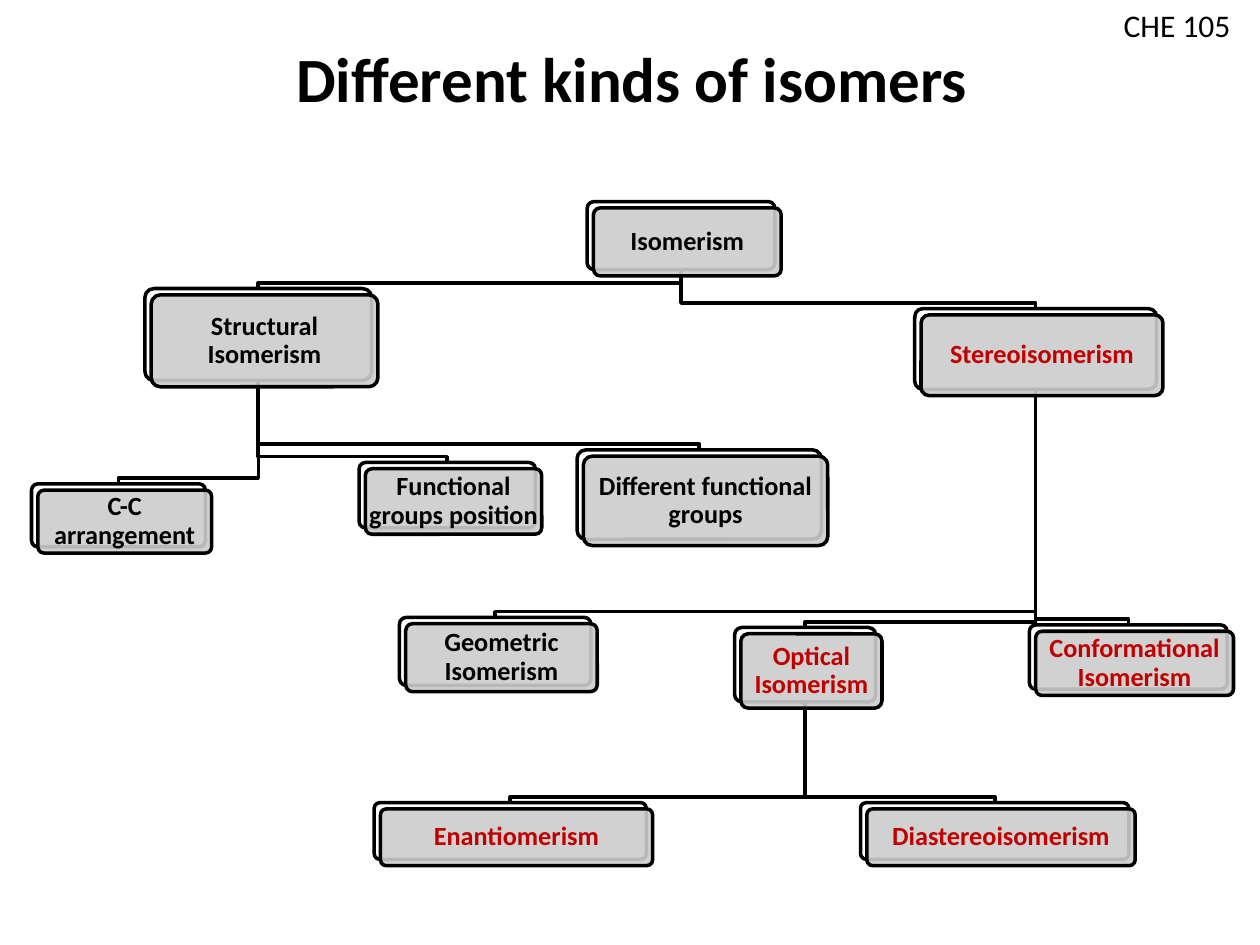
import pptx
import pptx.util
import pptx.dml.color
import pptx.enum.shapes
import pptx.enum.text
import pptx.oxml
import pptx.oxml.ns

BLACK, RED, WHITE, GREY = "000000", "C00000", "FFFFFF", "CCCCCC"
FONT = "Calibri"
OFFSET = 0.05   # shift of the front card from the back card
ELBOW = 0.045   # height of the horizontal run above the child card

# label: (parent, left, top, width, height of the back card, text colour)
CARDS = {
    "Isomerism": (None, 4.66, 1.6, 1.49, 0.54, BLACK),
    "Structural Isomerism": ("Isomerism", 1.15, 2.29, 1.8, 0.73, BLACK),
    "C-C arrangement": ("Structural Isomerism", 0.25, 3.84, 1.38, 0.5, BLACK),
    "Functional groups position": ("Structural Isomerism", 2.85, 3.67, 1.4, 0.52, BLACK),
    "Different functional groups": ("Structural Isomerism", 4.58, 3.57, 1.94, 0.71, BLACK),
    "Stereoisomerism": ("Isomerism", 7.26, 2.45, 1.92, 0.64, RED),
    "Geometric Isomerism": ("Stereoisomerism", 3.17, 4.9, 1.52, 0.54, BLACK),
    "Optical Isomerism": ("Stereoisomerism", 5.83, 4.98, 1.12, 0.59, RED),
    "Enantiomerism": ("Optical Isomerism", 2.97, 6.37, 2.16, 0.45, RED),
    "Diastereoisomerism": ("Optical Isomerism", 6.83, 6.37, 2.13, 0.45, RED),
    "Conformational Isomerism": ("Stereoisomerism", 8.17, 4.96, 1.57, 0.51, RED),
}


def rgb(color):
    return pptx.dml.color.RGBColor.from_string(color)


def inches(*values):
    return [pptx.util.Inches(v) for v in values]


def write(sp, text, size, color=BLACK, bold=False, align=None):
    tf = sp.text_frame
    tf.word_wrap = True
    tf.text = text
    p = tf.paragraphs[0]
    p.alignment = align
    font = p.runs[0].font
    font.name, font.size, font.bold = FONT, pptx.util.Pt(size), bold
    font.color.rgb = rgb(color)
    return tf


def outline(sp):
    sp.shadow.inherit = False
    sp.line.color.rgb = rgb(BLACK)
    sp.line.width = pptx.util.Pt(2)


def add_link(s, parent, child):
    """Draw an elbow from the bottom centre of parent to the top centre of child."""
    _, left, top, width, height, _ = parent
    _, child_left, child_top, child_width, _, _ = child
    x1, x2 = left + width / 2, child_left + child_width / 2
    bend = child_top - ELBOW
    points = [inches(*pt) for pt in
              ((x1, top + height), (x1, bend), (x2, bend), (x2, child_top))]
    builder = s.shapes.build_freeform(*points[0])
    builder.add_line_segments(points[1:], close=False)
    sp = builder.convert_to_shape()
    sp.fill.background()
    outline(sp)


def add_panel(s, left, top, width, height, fill):
    sp = s.shapes.add_shape(pptx.enum.shapes.MSO_SHAPE.ROUNDED_RECTANGLE,
                            *inches(left, top, width, height))
    sp.adjustments[0] = 0.1
    sp.fill.solid()
    sp.fill.fore_color.rgb = rgb(fill)
    outline(sp)
    return sp


def add_card(s, label, left, top, width, height, color):
    add_panel(s, left, top, width, height, WHITE)
    front = add_panel(s, left + OFFSET, top + OFFSET, width, height, GREY)
    fill_color = front.fill._xPr.find(".//" + pptx.oxml.ns.qn("a:srgbClr"))
    fill_color.append(pptx.oxml.parse_xml(
        f'<a:alpha {pptx.oxml.ns.nsdecls("a")} val="90000"/>'))
    tf = write(front, label, 15, color, True, pptx.enum.text.PP_ALIGN.CENTER)
    tf.margin_left = tf.margin_right = tf.margin_top = tf.margin_bottom = 0
    tf.vertical_anchor = pptx.enum.text.MSO_ANCHOR.MIDDLE
    tf.paragraphs[0].line_spacing = 0.9


def main():
    prs = pptx.Presentation()
    prs.slide_width, prs.slide_height = inches(10, 7.5)
    s = prs.slides.add_slide(prs.slide_layouts[5])

    title = s.shapes.title
    title.left, title.top, title.width, title.height = inches(0.03, 0.26, 9.97, 0.71)
    tf = write(title, "Different kinds of isomers", 36, bold=True,
               align=pptx.enum.text.PP_ALIGN.CENTER)
    tf.auto_size = pptx.enum.text.MSO_AUTO_SIZE.NONE
    tf.vertical_anchor = pptx.enum.text.MSO_ANCHOR.TOP

    course = s.shapes.add_textbox(*inches(8.82, 0, 1.17, 0.4))
    write(course, "CHE 105", 18)

    for card in CARDS.values():
        if card[0]:
            add_link(s, CARDS[card[0]], card)
    for label, (_, *box, color) in CARDS.items():
        add_card(s, label, *box, color)

    prs.save("out.pptx")


if __name__ == "__main__":
    main()
